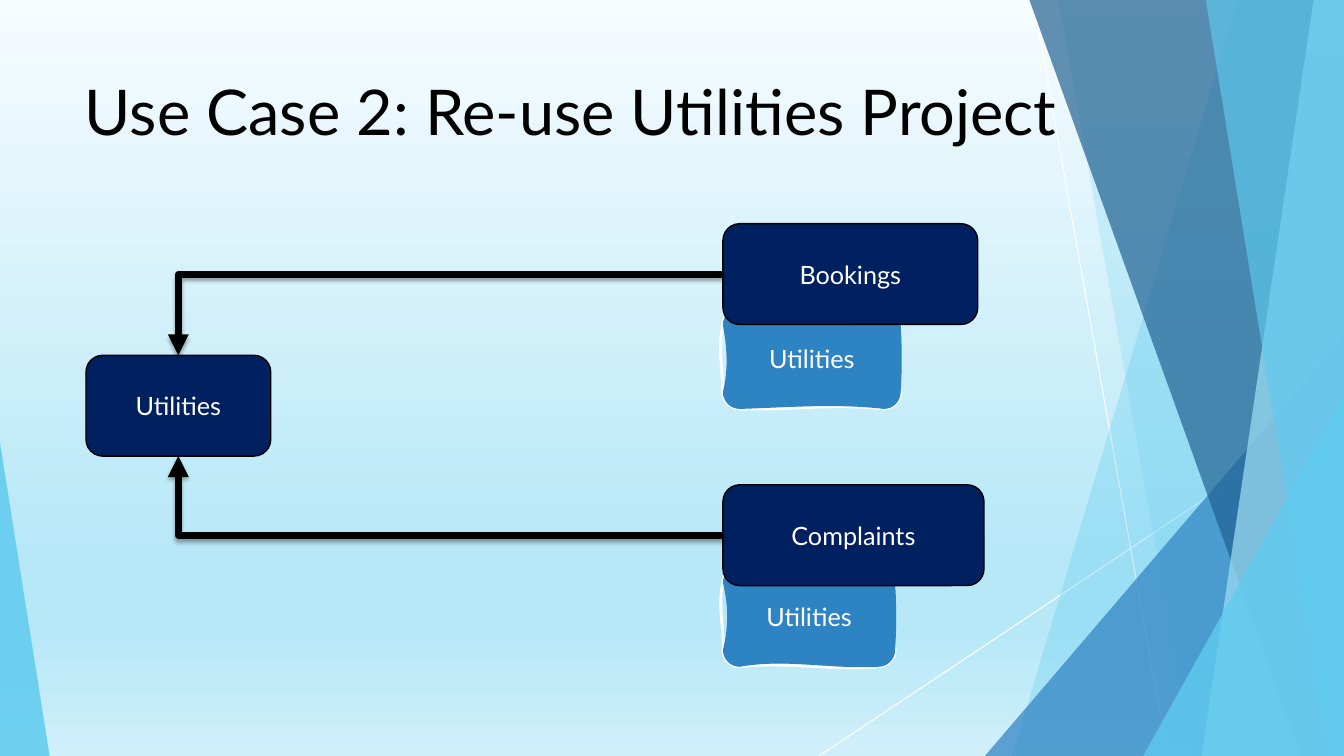
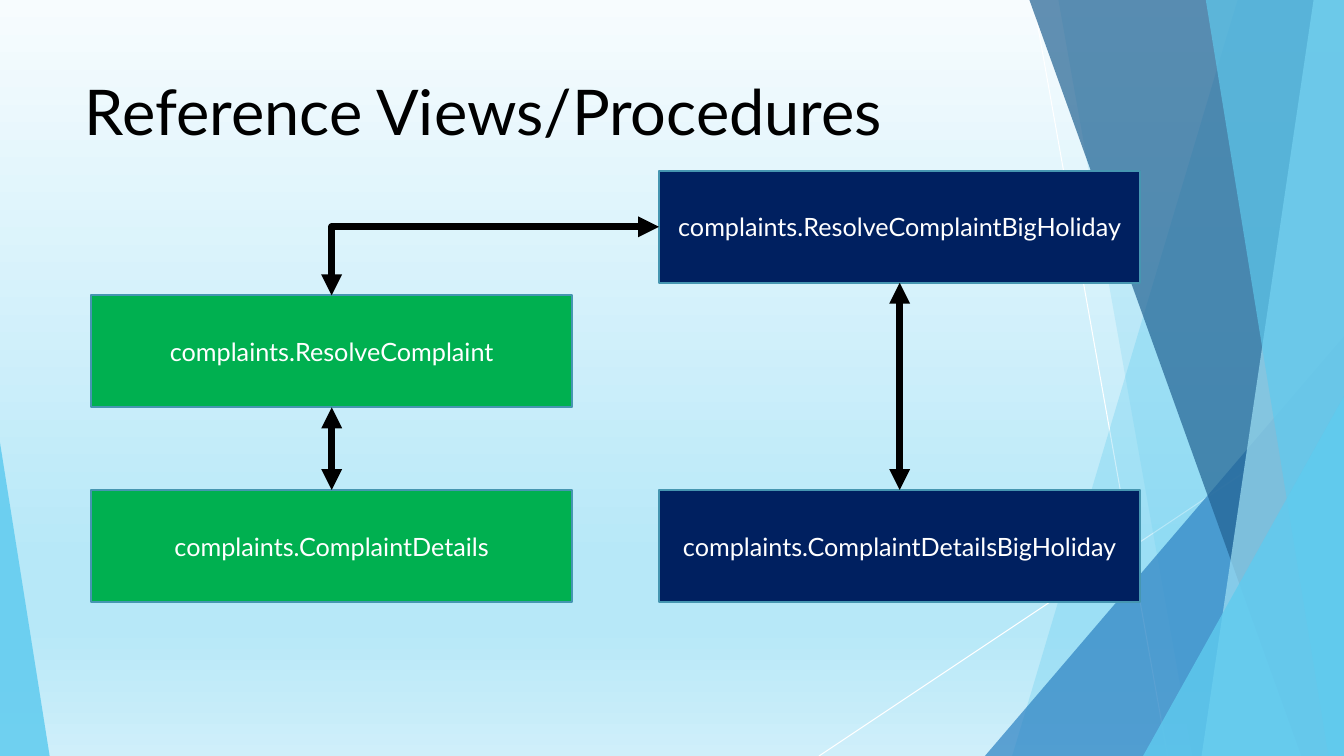
from collections import namedtuple

from lxml import etree
from pptx import Presentation
from pptx.dml.color import RGBColor
from pptx.enum.shapes import MSO_CONNECTOR, MSO_SHAPE
from pptx.enum.text import MSO_ANCHOR, MSO_AUTO_SIZE, PP_ALIGN
from pptx.oxml.ns import qn
from pptx.util import Pt

RECTANGLE = MSO_SHAPE.RECTANGLE
ROUNDED = MSO_SHAPE.ROUNDED_RECTANGLE
TRIANGLE = MSO_SHAPE.ISOSCELES_TRIANGLE
STRAIGHT, ELBOW = MSO_CONNECTOR.STRAIGHT, MSO_CONNECTOR.ELBOW
LEFT, CENTER = PP_ALIGN.LEFT, PP_ALIGN.CENTER
TOP, MIDDLE = MSO_ANCHOR.TOP, MSO_ANCHOR.MIDDLE
NO_AUTOFIT = MSO_AUTO_SIZE.NONE
SITE_TOP, SITE_LEFT, SITE_BOTTOM = 0, 1, 2
TITLE_ONLY = 5

COLORS = {
    "black": "000000", "white": "FFFFFF", "navy": "002060", "green": "00B050",
    "blue": "2E83C3", "deep": "226292", "cyan": "5FCBEF", "pale": "9FE0F5",
    "border": "4696B1",
    "sky_top": "F7FCFE", "sky_mid": "B7E8F8", "sky_bottom": "CFEFFA",
}
FONT = "Lato"
Box = namedtuple("Box", "left top width height")

PAGE = Box(0, 0, 960, 540)
TITLE = Box(53.5, 48, 744, 104)
SKY = [(0, "sky_top"), (74, "sky_mid"), (83, "sky_mid"), (100, "sky_bottom")]

RAYS = [(738, 0, 834, 540), (960, 290, 585, 540)]
# Bands: colour, opacity, left edge at the page top and at the page bottom
# Triangles: colour, opacity, box, apex position
FACETS = [
    ("cyan", 30, (884, 723)),
    ("cyan", 20, (756, 852)),
    ("blue", 72, Box(703.5, 240, 256.5, 300), 1),
    ("deep", 70, (735.3, 929.5)),
    ("pale", 70, (938.3, 858.3)),
    ("cyan", 65, (861.3, 949)),
    ("cyan", 80, Box(816.5, 283, 143.5, 257), 1),
    ("cyan", 85, Box(0, 316, 35.5, 224), 0),
]


def rgb(name):
    return RGBColor.from_string(COLORS[name])


def emu(box):
    return [Pt(value) for value in box]


def paint(shape, fill, line=None, weight=1, opacity=100):
    shape.shadow.inherit = False
    shape.fill.solid()
    shape.fill.fore_color.rgb = rgb(fill)
    if opacity < 100:
        color = shape.element.spPr.find(qn("a:solidFill"))[0]
        etree.SubElement(color, qn("a:alpha"), val=str(opacity * 1000))
    if line:
        shape.line.color.rgb = rgb(line)
        shape.line.width = Pt(weight)
    else:
        shape.line.fill.background()


def write(shape, text, size=18, color="white", align=CENTER, anchor=MIDDLE):
    frame = shape.text_frame
    frame.word_wrap = True
    frame.vertical_anchor = anchor
    paragraph = frame.paragraphs[0]
    paragraph.alignment = align
    run = paragraph.add_run()
    run.text = text
    run.font.name = FONT
    run.font.size = Pt(size)
    run.font.color.rgb = rgb(color)


def polygon(slide, points):
    start, *rest = [(Pt(x), Pt(y)) for x, y in points]
    builder = slide.shapes.build_freeform(*start, scale=1.0)
    builder.add_line_segments(rest, close=True)
    return builder.convert_to_shape()


def label_box(slide, box, text, kind, fill, line, weight):
    shape = slide.shapes.add_shape(kind, *emu(box))
    paint(shape, fill, line, weight)
    write(shape, text)
    return shape


def style_line(connector, color, weight):
    """Colour a connector and return its empty effect list."""
    connector.line.color.rgb = rgb(color)
    connector.line.width = Pt(weight)
    return etree.SubElement(connector.element.spPr, qn("a:effectLst"))


def arrow(slide, source, source_site, target, target_site, kind=STRAIGHT,
          both_ends=True, shadow=False):
    connector = slide.shapes.add_connector(kind, 0, 0, 0, 0)
    connector.begin_connect(source, source_site)
    connector.end_connect(target, target_site)
    properties = connector.element.spPr
    if kind == ELBOW:
        properties.find(qn("a:prstGeom")).set("prst", "bentConnector2")
    effects = style_line(connector, "black", 5)
    line = properties.find(qn("a:ln"))
    for end in ("headEnd", "tailEnd") if both_ends else ("tailEnd",):
        etree.SubElement(line, qn("a:" + end), type="triangle")
    if shadow:
        cast = etree.SubElement(effects, qn("a:outerShdw"), blurRad=str(Pt(3)),
                                dist=str(Pt(2)), dir="5400000", rotWithShape="0")
        color = etree.SubElement(cast, qn("a:srgbClr"), val=COLORS["black"])
        etree.SubElement(color, qn("a:alpha"), val="35000")


def wobbly_curves(width, height, wobbles, radius=12):
    """Start and cubic curves; each side (top, right, bottom, left) has two offsets."""
    corners = [(0, 0), (width, 0), (width, height), (0, height)]
    directions = [(1, 0), (0, 1), (-1, 0), (0, -1)]
    pull = radius * 0.45
    curves = []
    for side, (near, far) in enumerate(wobbles):
        (x, y), (end_x, end_y) = corners[side], corners[(side + 1) % 4]
        (dx, dy), (turn_x, turn_y) = directions[side], directions[(side + 1) % 4]
        third = (abs(end_x - x) + abs(end_y - y) - 2 * radius) / 3
        reach = radius + third
        across_x, across_y = abs(dy), abs(dx)
        side_end = (end_x - dx * radius, end_y - dy * radius)
        curves.append([
            (x + dx * reach + across_x * near, y + dy * reach + across_y * near),
            (end_x - dx * reach + across_x * far, end_y - dy * reach + across_y * far),
            side_end])
        curves.append([
            (end_x - dx * pull, end_y - dy * pull),
            (end_x + turn_x * pull, end_y + turn_y * pull),
            (end_x + turn_x * radius, end_y + turn_y * radius)])
    return (radius, 0), curves


def add_contour(contours, box, wobbles, **flags):
    contour = etree.SubElement(contours, qn("a:path"), w=str(Pt(box.width)),
                               h=str(Pt(box.height)), **flags)
    start, curves = wobbly_curves(box.width, box.height, wobbles)
    for tag, points in [("moveTo", [start])] + [("cubicBezTo", c) for c in curves]:
        step = etree.SubElement(contour, qn("a:" + tag))
        for x, y in points:
            etree.SubElement(step, qn("a:pt"), x=str(Pt(x)), y=str(Pt(y)))
    etree.SubElement(contour, qn("a:close"))


def sketched_box(slide, box, text, line_wobbles, fill_wobbles):
    """Hand-drawn box whose outline and filled area wobble apart."""
    right, bottom = box.left + box.width, box.top + box.height
    shape = polygon(slide, [(box.left, box.top), (right, box.top),
                            (right, bottom), (box.left, bottom)])
    contours = shape.element.spPr.find(".//" + qn("a:pathLst"))
    contours.remove(contours[0])
    add_contour(contours, box, line_wobbles, fill="none")
    add_contour(contours, box, fill_wobbles, stroke="0")
    paint(shape, "blue", "white", 2)
    write(shape, text)


def paint_sky(fill, owner):
    fill.gradient()
    fill.gradient_angle = 270
    stops = owner.find(".//" + qn("a:gsLst"))
    for stop in list(stops):
        stops.remove(stop)
    for position, name in SKY:
        stop = etree.SubElement(stops, qn("a:gs"), pos=str(position * 1000))
        etree.SubElement(stop, qn("a:srgbClr"), val=COLORS[name])


def backdrop(slide, page):
    right, bottom = page.left + page.width, page.top + page.height
    sky = slide.shapes.add_shape(RECTANGLE, *emu(page))
    sky.shadow.inherit = False
    sky.line.fill.background()
    paint_sky(sky.fill, sky.element)
    for ray in RAYS:
        style_line(slide.shapes.add_connector(STRAIGHT, *emu(ray)), "white", 0.75)
    for color, opacity, place, *apex in FACETS:
        if apex:
            facet = slide.shapes.add_shape(TRIANGLE, *emu(place))
            facet.adjustments[0] = apex[0]
        else:
            top_x, bottom_x = place
            facet = polygon(slide, [(top_x, page.top), (right, page.top),
                                    (right, bottom), (bottom_x, bottom)])
        paint(facet, color, opacity=opacity)


def titled_slide(prs, heading):
    slide = prs.slides.add_slide(prs.slide_layouts[TITLE_ONLY])
    backdrop(slide, PAGE)
    title = slide.shapes.title
    title.left, title.top, title.width, title.height = emu(TITLE)
    write(title, heading, 45, "black", LEFT, TOP)
    title.text_frame.auto_size = NO_AUTOFIT
    slide.shapes._spTree.append(title.element)
    return slide


def reuse_diagram(slide, area):
    """Two projects on the right that share the project on the left."""
    height, projects_left = 72, area.left + 455
    style = (ROUNDED, "navy", "black", 1)
    # Name, top, width, sketch drop, sketch width, line and fill wobbles
    projects = [
        ("Bookings", 0, 182, 60.3, 127,
         [(6, 0), (-3, -3), (-4, 1), (0, -4)], [(1, 9), (1, 1), (-4, -1), (4, 3)]),
        ("Complaints", 186.5, 186.5, 58, 123,
         [(2, -7), (-3, -3), (3, -4), (1, -4)], [(0, -8), (1, 1), (2, -6), (4, 4)]),
    ]
    shared_box = Box(area.left, area.top + 94, 132, height)
    shared = label_box(slide, shared_box, "Utilities", *style)
    sites = (SITE_TOP, SITE_BOTTOM)
    for site, (name, top, width, drop, sketch_width, line, fill) in zip(sites, projects):
        box = Box(projects_left, area.top + top, width, height)
        sketch = box._replace(top=box.top + drop, width=sketch_width)
        sketched_box(slide, sketch, "Utilities", line, fill)
        project = label_box(slide, box, name, *style)
        arrow(slide, project, SITE_LEFT, shared, site, ELBOW,
              both_ends=False, shadow=True)


def reference_diagram(slide, area):
    """Base objects on the left, derived ones on the right."""
    gap, height = 62, 80
    width = (area.width - gap) / 2
    right_column = area.left + width + gap
    bottom_row = area.top + area.height - height

    def reference(left, top, text, fill):
        return label_box(slide, Box(left, top, width, height), text,
                         RECTANGLE, fill, "border", 1.5)

    details_holiday = reference(right_column, bottom_row,
                                "complaints.ComplaintDetailsBigHoliday", "navy")
    details = reference(area.left, bottom_row, "complaints.ComplaintDetails", "green")
    resolve = reference(area.left, area.top + 89, "complaints.ResolveComplaint", "green")
    resolve_holiday = reference(right_column, area.top,
                                "complaints.ResolveComplaintBigHoliday", "navy")
    arrow(slide, resolve_holiday, SITE_BOTTOM, details_holiday, SITE_TOP)
    arrow(slide, resolve_holiday, SITE_LEFT, resolve, SITE_TOP, ELBOW)
    arrow(slide, resolve, SITE_BOTTOM, details, SITE_TOP)


def main():
    prs = Presentation()
    prs.slide_width, prs.slide_height = Pt(PAGE.width), Pt(PAGE.height)
    paint_sky(prs.slide_master.background.fill, prs.slide_master.element)
    reuse_diagram(titled_slide(prs, "Use Case 2: Re-use Utilities Project"),
                  Box(61.4, 159.8, 641.5, 316.5))
    reference_diagram(titled_slide(prs, "Reference Views/Procedures"),
                      Box(65.1, 122, 749.4, 308))
    prs.save("out.pptx")


if __name__ == "__main__":
    main()
